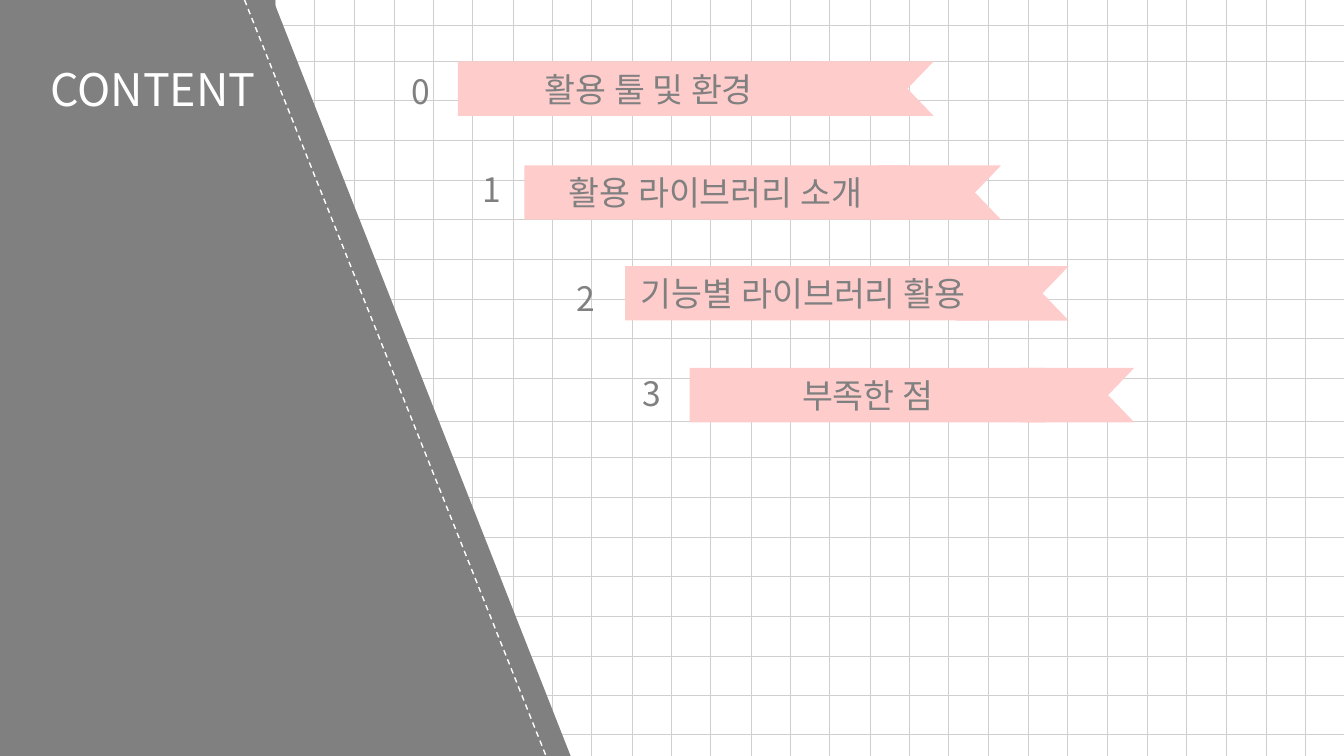
from lxml import etree
from pptx import Presentation
from pptx.dml.color import RGBColor
from pptx.enum.dml import MSO_LINE_DASH_STYLE as Dash
from pptx.enum.shapes import MSO_CONNECTOR as Connector, MSO_SHAPE as Shape
from pptx.enum.text import MSO_ANCHOR as Anchor, MSO_AUTO_SIZE as AutoSize, PP_ALIGN as Align
from pptx.oxml.ns import qn
from pptx.util import Pt

SCALE = 9144
WIDTH, HEIGHT = 1333, 750
FONT = "Noto Sans CJK KR"
GRAY, PINK, WHITE, GRID = "808080", "FFCCCC", "FFFFFF", "D0CECE"
COLUMNS = [round(37 + 39.31 * i) for i in range(33)]
ROWS = [25, 61, 100, 139, 179, 218, 257, 297, 336, 375,
        418, 454, 493, 533, 572, 611, 651, 690, 729]
BANNER_HEIGHT = 54
AGENDA = [
    ("0", (398, 65), "활용 툴 및 환경", (454, 61), 379, (324, 148)),
    ("1", (469, 163), "활용 라이브러리 소개", (520, 164), 379, (325, 148)),
    ("2", (562, 271), "기능별 라이브러리 활용", (620, 264), 353, (302, 138)),
    ("3", (627, 365), "부족한 점", (684, 365), 353, (303, 138)),
]


def px(*lengths):
    """Turn whole pixels into EMU."""
    return [length * SCALE for length in lengths]


def color(value):
    """Turn a hex string into a colour."""
    return RGBColor.from_string(value)


def add_line(shapes, start, end, stroke, width):
    """Add a straight line without a shadow and return it."""
    line = shapes.add_connector(Connector.STRAIGHT, *px(*start, *end))
    line.line.color.rgb = color(stroke)
    line.line.width = Pt(width)
    etree.SubElement(line.element.spPr, qn("a:effectLst"))
    return line


def add_block(shapes, kind, box, fill):
    """Add a flat filled shape without an outline and return it."""
    block = shapes.add_shape(kind, *px(*box))
    block.shadow.inherit = False
    block.fill.solid()
    block.fill.fore_color.rgb = color(fill)
    block.line.fill.background()
    return block


def write(shape, text, size, ink, align=Align.LEFT):
    """Put one line of styled text in a shape."""
    para = shape.text_frame.paragraphs[0]
    para.text = text
    para.alignment = align
    span = para.runs[0]
    span.font.name = FONT
    span.font.size = Pt(size)
    span.font.color.rgb = color(ink)
    props = span.font._element
    etree.SubElement(props, qn("a:ea")).set("typeface", FONT)


def add_label(shapes, box, text, size, ink, wrap):
    """Add a text box that grows with its text."""
    label = shapes.add_textbox(*px(*box))
    label.text_frame.word_wrap = wrap
    label.text_frame.auto_size = AutoSize.SHAPE_TO_FIT_TEXT
    write(label, text, size, ink)


def draw_grid(page, box):
    """Rule the box with thin columns and rows."""
    left, top, width, height = box
    columns = page.shapes.add_group_shape().shapes
    for x in COLUMNS:
        add_line(columns, (left + x, top), (left + x, top + height), GRID, 0.5)
    for y in ROWS:
        add_line(page.shapes, (left + width, top + y), (left, top + y), GRID, 0.5)


def draw_title_panel(page, box):
    """Draw the slanted panel with its dashed seam and title."""
    left, top, width, height = box
    add_block(page.shapes, Shape.RECTANGLE, (left, top, 273, height), GRAY)
    slope = add_block(page.shapes, Shape.ISOSCELES_TRIANGLE,
                      (left + 233, top, width - 233, height), GRAY)
    slope.adjustments[0] = 0.114
    add_label(page.shapes, (left + 40, top + 56, 276, 64), "CONTENT", 32, WHITE, True)
    seam = add_line(page.shapes, (left + 239, top - 9), (left + 542, top + 751), WHITE, 1)
    seam.line.dash_style = Dash.DASH


def draw_banner(page, box, text, tail):
    """Draw a ribbon: a labelled bar and a notched tail, given as offset and width."""
    left, top, width, height = box
    offset, tail_width = tail
    ribbon = page.shapes.add_group_shape().shapes
    notch = add_block(ribbon, Shape.CHEVRON, (left + offset, top, tail_width, height), PINK)
    notch.adjustments[0] = 0.481
    notch.element.spPr.get_or_add_xfrm().set("flipH", "1")
    bar = add_block(ribbon, Shape.RECTANGLE, (left, top, width, height), PINK)
    bar.text_frame.vertical_anchor = Anchor.MIDDLE
    write(bar, text, 24, GRAY, Align.CENTER)


def draw_agenda(page, items):
    """Draw each numbered ribbon."""
    for number, number_at, text, banner_at, width, tail in items:
        draw_banner(page, (*banner_at, width, BANNER_HEIGHT), text, tail)
        add_label(page.shapes, (*number_at, 41, 50), number, 24, GRAY, False)


def main():
    """Build the deck and save it."""
    deck = Presentation()
    deck.slide_width, deck.slide_height = px(WIDTH, HEIGHT)
    page = deck.slides.add_slide(deck.slide_layouts[6])
    page.background.fill.solid()
    page.background.fill.fore_color.rgb = color(WHITE)
    draw_grid(page, (0, 0, WIDTH, HEIGHT))
    draw_title_panel(page, (0, 0, 566, HEIGHT))
    draw_agenda(page, AGENDA)
    deck.save("out.pptx")


if __name__ == "__main__":
    main()
